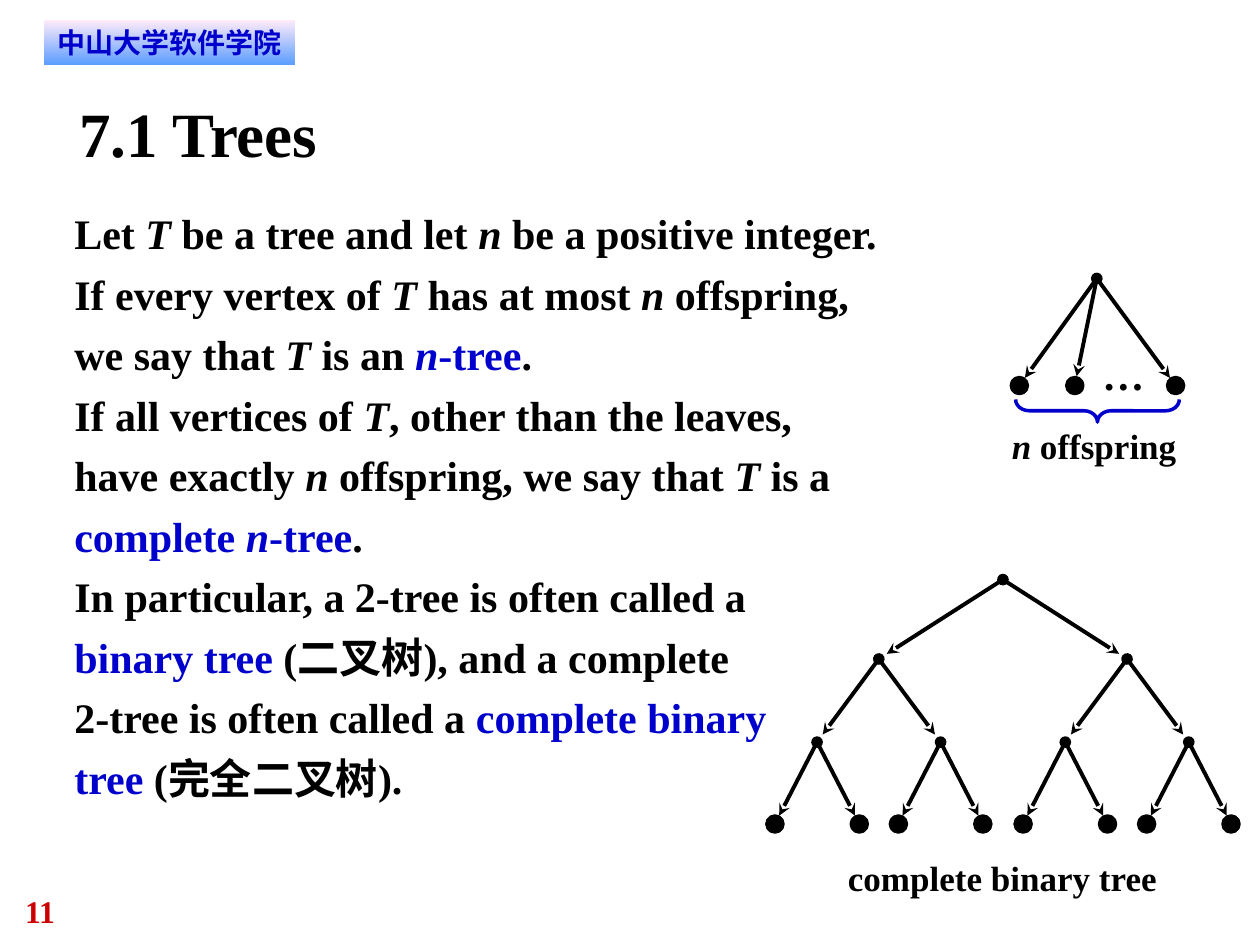
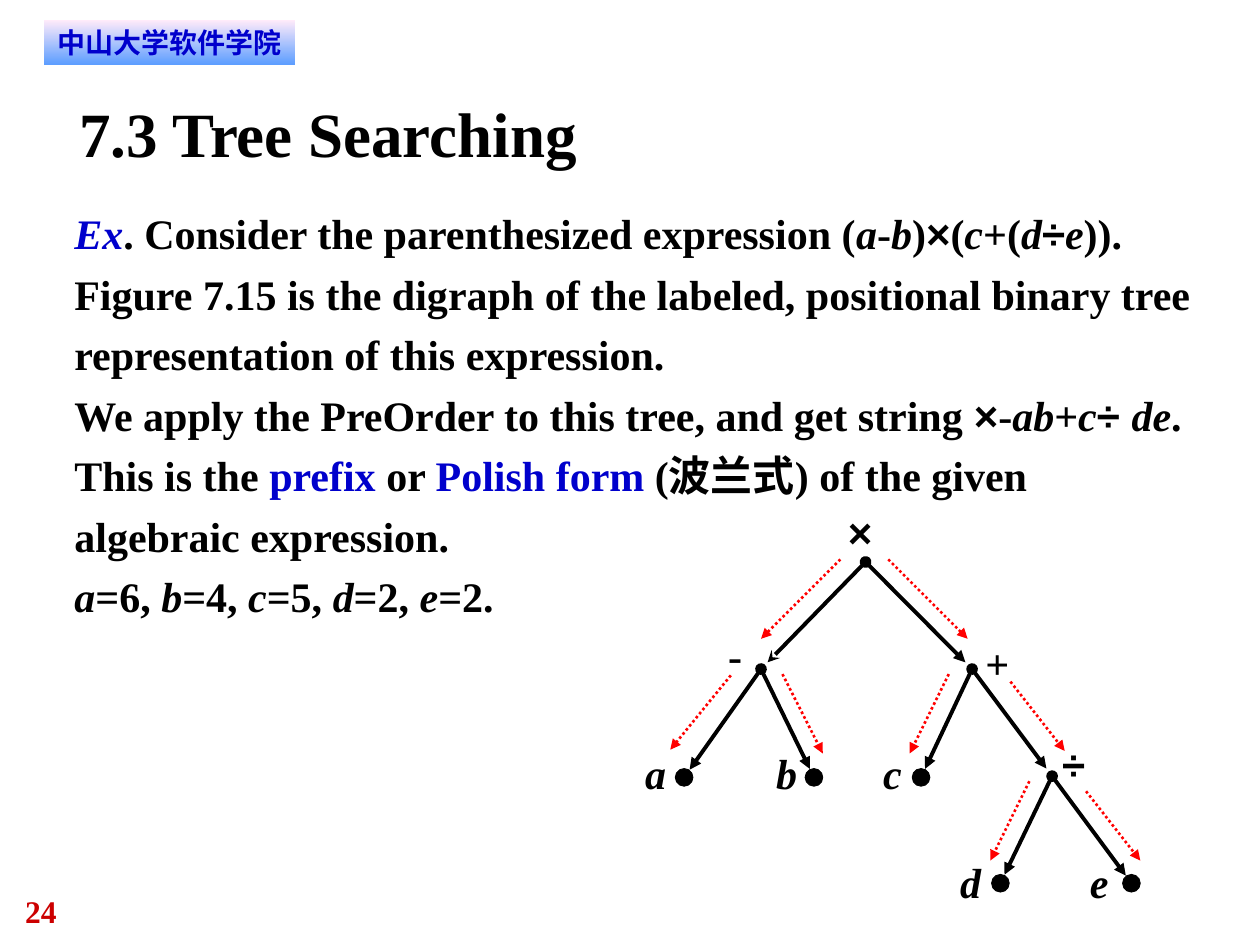
from itertools import groupby
from math import hypot

from lxml.etree import SubElement
from pptx import Presentation
from pptx.dml.color import RGBColor
from pptx.enum.dml import MSO_LINE
from pptx.enum.shapes import MSO_CONNECTOR as Connector, MSO_SHAPE as Shape
from pptx.enum.text import MSO_ANCHOR as Anchor, MSO_AUTO_SIZE as AutoSize, PP_ALIGN as Align
from pptx.oxml.ns import qn
from pptx.util import Inches, Pt

COLOURS = {
    "ink": "000000",
    "term": "0000CC",
    "number": "CC0000",
    "hint": "FF0000",
    "band top": "FFEBFA",
    "band bottom": "5E9EFF",
}
PALETTE = {name: RGBColor.from_string(value) for name, value in COLOURS.items()}
SERIF, SANS, BAND_FONT = "Times New Roman", "Arial", "DejaVu Sans"
BAND_TEXT = "中山大学软件学院"
ITALIC, TERM, SYMBOL = "*", "~", "^"
MARKS = {ITALIC, TERM, SYMBOL}

presentation = Presentation()
presentation.slide_width, presentation.slide_height = Inches(10), Inches(7.5)
CELL = presentation.slide_width / 100


def cells(*counts):
    return [round(count * CELL) for count in counts]


def write(shape, at, marked_lines, size, colour="ink", font=SERIF, align=Align.LEFT, wrap=True, spacing=1.0):
    shape.left, shape.top, shape.width, shape.height = cells(*at)
    frame = shape.text_frame
    frame_format = {
        "margin_left": 0, "margin_top": 0, "margin_right": 0, "margin_bottom": 0,
        "word_wrap": wrap, "vertical_anchor": Anchor.TOP, "auto_size": AutoSize.NONE,
    }
    for name, value in frame_format.items():
        setattr(frame, name, value)
    for index, marked in enumerate(marked_lines):
        paragraph = frame.add_paragraph() if index else frame.paragraphs[0]
        paragraph_format = {"alignment": align, "line_spacing": spacing, "space_before": Pt(0)}
        for name, value in paragraph_format.items():
            setattr(paragraph, name, value)
        active = set()
        for is_mark, group in groupby(marked, key=lambda letter: letter in MARKS):
            piece = "".join(group)
            if is_mark:
                active ^= set(piece)
                continue
            for position, line in enumerate(piece.split("\n")):
                if position:
                    paragraph.add_line_break()
                run = paragraph.add_run()
                run.text = line
                run_format = {
                    "name": SANS if SYMBOL in active else font,
                    "size": Pt(size), "bold": True, "italic": ITALIC in active,
                }
                for name, value in run_format.items():
                    setattr(run.font, name, value)
                run.font.color.rgb = PALETTE["term" if TERM in active else colour]


offspring_edges = [((87.05, 22.1), (x, 30.6), "stealth") for x in (80.9, 85.3, 93.3)]

binary_edges = []
level = [(79.6, 46)]
for spread, y in ((9.85, 52.3), (4.9, 58.9), (3.35, 65.4)):
    pairs = [(parent, (parent[0] + side * spread, y), "stealth") for parent in level for side in (-1, 1)]
    binary_edges += pairs
    level = [child for parent, child, tail in pairs]

expression_nodes = {
    "×": (68.7, 44.6), "-": (60.4, 53.1), "+": (77.15, 53.1),
    "a": (54.3, 61.7), "b": (64.6, 61.7), "c": (73.1, 61.7), "÷": (83.5, 61.6),
    "d": (79.4, 70.1), "e": (89.8, 70.1),
}
expression_edges = [
    (expression_nodes[parent], expression_nodes[child], "stealth" if parent + child == "×-" else "triangle")
    for parent, child in ("×-", "×+", "-a", "-b", "+c", "+÷", "÷d", "÷e")
]
preorder_hints = [
    ((66.7, 44.4), (60.4, 50.7)), ((70.5, 44.4), (76.8, 50.7)),
    ((58, 53.6), (53.2, 59.5)), ((62.1, 53.5), (65.3, 59.8)),
    ((75.3, 53.5), (72.2, 59.8)), ((80.2, 54.1), (84.5, 59.6)),
    ((81.7, 62), (78.6, 68.3)), ((86.2, 62.8), (90.5, 68.3)),
]

pages = [
    {
        "number": "11",
        "title": "7.1 Trees",
        "body at": (5.9, 15.7, 68.9, 48),
        "body": [
            "Let *T* be a tree and let *n* be a positive integer.",
            "If every vertex of *T* has at most *n* offspring,\nwe say that *T* is an *~n*-tree~.",
            "If all vertices of *T*, other than the leaves,\nhave exactly *n* offspring, "
            "we say that *T* is a ~complete *n*-tree~.",
            "In particular, a 2-tree is often called a\n~binary tree~ (二叉树), and a complete\n"
            "2-tree is often called a ~complete binary\ntree~ (完全二叉树).",
        ],
        "edges": offspring_edges + binary_edges,
        "leaf": (1.2, 2.5),
        "hints": [],
        "braces": [(86.2, 26.1, 1.8, 13)],
        "labels": [
            ("…", 24, (87.5, 27.7, 3.3, 4)),
            ("*n* offspring", 20, (80.3, 33.7, 13.1, 3.3)),
            ("complete binary tree", 20, (67.3, 68, 24.6, 3.3)),
        ],
    },
    {
        "number": "24",
        "title": "7.3 Tree Searching",
        "body at": (5.9, 15.7, 89.5, 33.6),
        "body": [
            "~*Ex~*. Consider the parenthesized expression (*a*-*b*)^×^(*c*+(*d*^÷^*e*)).",
            "Figure 7.15 is the digraph of the labeled, positional binary tree "
            "representation of this expression.",
            "We apply the PreOrder to this tree, and get string ^×^-*ab*+*c*^÷ ^*de*. "
            "This is the ~prefix~ or ~Polish form~ (波兰式) of the given algebraic expression.",
            "*a*=6, *b*=4, *c*=5, *d*=2, *e*=2.",
        ],
        "edges": expression_edges,
        "leaf": (1.4, 0.5),
        "hints": preorder_hints,
        "braces": [],
        "labels": [
            (marked, 24, (x, y, 2.7, 4)) for marked, x, y in (
                ("^×^", 67.3, 40.2), ("-", 57.8, 50), ("+", 78.2, 50.6),
                ("*a*", 51.2, 59.3), ("*b*", 61.6, 59.3), ("*c*", 70.1, 59.3), ("^÷^", 84.3, 58.6),
                ("*d*", 76.2, 68), ("*e*", 86.5, 68),
            )
        ],
    },
]

for page in pages:
    slide = presentation.slides.add_slide(presentation.slide_layouts[1])
    shapes = slide.shapes

    number = shapes.add_textbox(0, 0, 0, 0)
    write(number, (2, 70.8, 7.5, 3), [page["number"]], 18, "number")

    band = shapes.add_shape(Shape.RECTANGLE, 0, 0, 0, 0)
    band.shadow.inherit = False
    band.line.fill.background()
    band.fill.gradient()
    band.fill.gradient_angle = 270
    for stop, name in zip(band.fill.gradient_stops, ("band top", "band bottom")):
        stop.color.rgb = PALETTE[name]
    write(band, (3.5, 1.6, 19.9, 3.5), [BAND_TEXT], 16, "term", BAND_FONT, Align.CENTER)
    band.text_frame.vertical_anchor = Anchor.MIDDLE

    write(shapes.title, (6.3, 7.5, 87.5, 6), [page["title"]], 36)
    body = slide.placeholders[1]
    write(body, page["body at"], page["body"], 24, spacing=1.2)
    for paragraph in body.text_frame.paragraphs:
        properties = paragraph._p.get_or_add_pPr()
        properties.set("marL", "0")
        properties.set("indent", "0")
        SubElement(properties, qn("a:buNone"))

    parents = set()
    arrows = []
    for parent, child, tail in page["edges"]:
        across, down = child[0] - parent[0], child[1] - parent[1]
        share = 1 - 0.75 / hypot(across, down)
        tip = (parent[0] + across * share, parent[1] + down * share)
        head = "none" if parent in parents else "oval"
        arrows.append((parent, tip, "ink", 2.25, MSO_LINE.SOLID, head, tail))
        parents.add(parent)
    for start, end in page["hints"]:
        arrows.append((start, end, "hint", 1.5, MSO_LINE.ROUND_DOT, "none", "triangle"))

    for start, end, colour, width, dash, head, tail in arrows:
        arrow = shapes.add_connector(Connector.STRAIGHT, *cells(*start, *end))
        arrow.line.color.rgb = PALETTE[colour]
        arrow.line.width = Pt(width)
        arrow.line.dash_style = dash
        properties = arrow._element.spPr
        outline = properties.find(qn("a:ln"))
        SubElement(outline, qn("a:headEnd"), type=head)
        SubElement(outline, qn("a:tailEnd"), type=tail)
        SubElement(properties, qn("a:effectLst"))

    diameter, outline_width = page["leaf"]
    for parent, (x, y), tail in page["edges"]:
        if (x, y) in parents:
            continue
        corner = (x - diameter / 2, y - diameter / 2)
        leaf = shapes.add_shape(Shape.OVAL, *cells(*corner, diameter, diameter))
        leaf.shadow.inherit = False
        leaf.fill.solid()
        leaf.fill.fore_color.rgb = PALETTE["ink"]
        leaf.line.color.rgb = PALETTE["ink"]
        leaf.line.width = Pt(outline_width)

    for at in page["braces"]:
        brace = shapes.add_shape(Shape.RIGHT_BRACE, *cells(*at))
        brace.rotation = 90
        brace.adjustments[0] = 0.6
        brace.shadow.inherit = False
        brace.fill.background()
        brace.line.color.rgb = PALETTE["term"]
        brace.line.width = Pt(2)

    for marked, size, at in page["labels"]:
        label = shapes.add_textbox(0, 0, 0, 0)
        write(label, at, [marked], size, wrap=False)

presentation.save("out.pptx")
